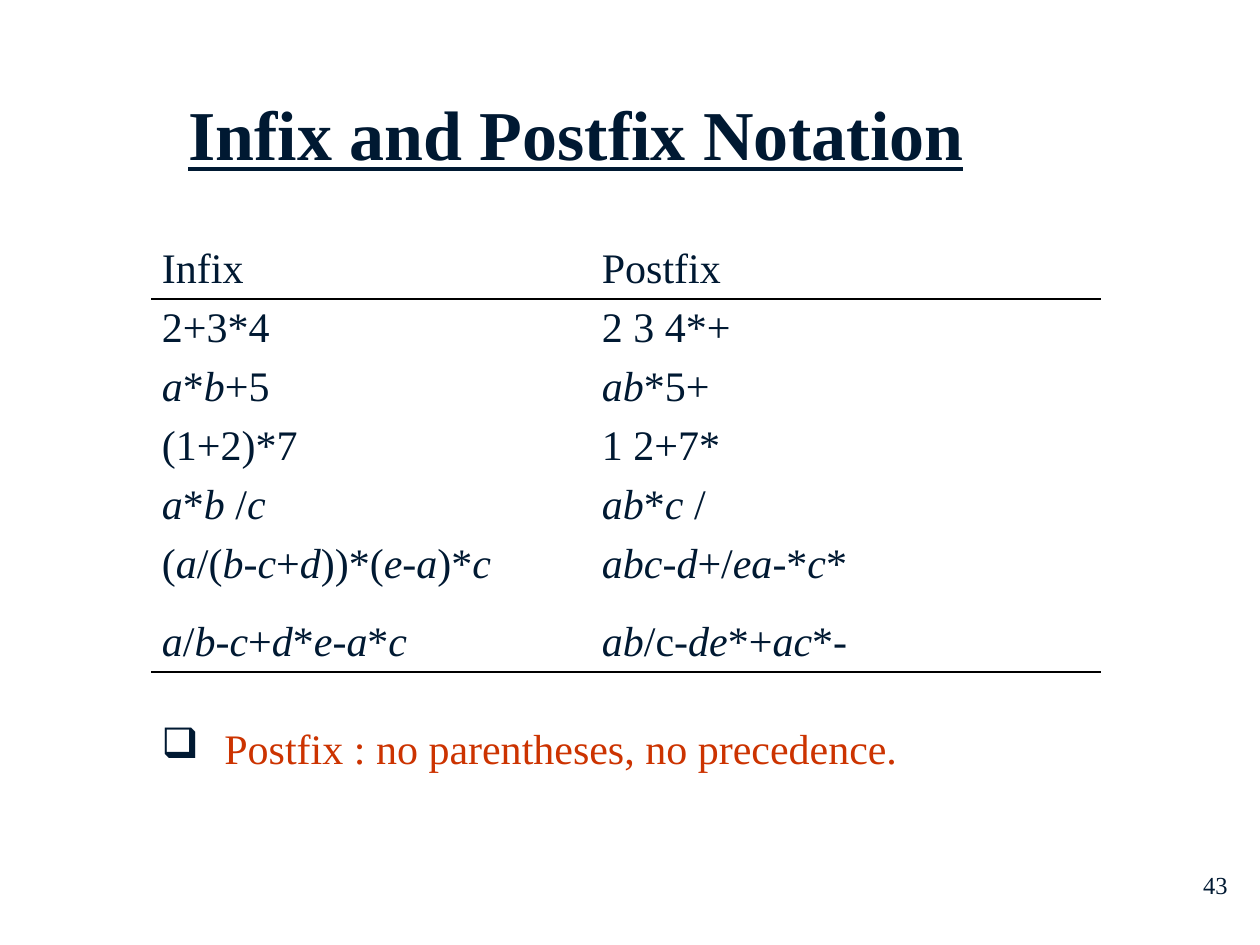
from lxml.etree import SubElement
from pptx import Presentation
from pptx.dml.color import RGBColor
from pptx.enum.text import PP_ALIGN
from pptx.oxml.ns import qn
from pptx.util import Pt

PX = 914400 // 126
FONT = "Times New Roman"
NAVY = RGBColor(0x00, 0x19, 0x32)
RED = RGBColor(0xCC, 0x33, 0x00)
BLACK = RGBColor(0x00, 0x00, 0x00)

# Underscores enclose italic passages
EXPRESSIONS = [
    ("Infix", "Postfix"),
    ("2+3*4", "2 3 4*+"),
    ("_a_*_b_+5", "_ab_*5+"),
    ("(1+2)*7", "1 2+7*"),
    ("_a_*_b _/_c_", "_ab_*_c _/"),
    ("(_a_/(_b_-_c_+_d_))*(_e_-_a_)*_c_", "_abc_-_d_+/_ea_-*_c_*"),
    ("_a_/_b_-_c_+_d_*_e_-_a_*_c_", "_ab_/c-_de_*+_ac_*-"),
]
COLUMN_WIDTHS = [440, 508]
ROW_HEIGHTS = [59] * 5 + [78] + [59] * 2
RULED_ROWS = (0, 6)  # rows with a line below them


def write(frame, text, size=24, color=NAVY, bold=False, underline=False,
          align=PP_ALIGN.LEFT, line_spacing=None, bullet=None, indent=63):
    paragraph = frame.paragraphs[0]
    paragraph.alignment = align
    if line_spacing:
        paragraph.line_spacing = line_spacing
    if bullet:
        add_bullet(paragraph, bullet, indent)
    for position, passage in enumerate(text.split("_")):
        if not passage:
            continue
        run = paragraph.add_run()
        run.text = passage
        font = run.font
        font.name, font.size, font.color.rgb = FONT, Pt(size), color
        font.bold, font.underline = bold, underline
        font.italic = position % 2 == 1


def add_bullet(paragraph, symbol, indent):
    properties = paragraph._p.get_or_add_pPr()
    properties.set("marL", str(indent * PX))
    properties.set("indent", str(-indent * PX))
    bullet_color = SubElement(properties, qn("a:buClr"))
    SubElement(bullet_color, qn("a:srgbClr"), val=str(NAVY))
    SubElement(properties, qn("a:buChar"), char=symbol)


def add_text(slide, left, top, width, height, text, wrap=True, inset_top=6,
             **text_format):
    box = slide.shapes.add_textbox(left * PX, top * PX, width * PX, height * PX)
    frame = box.text_frame
    frame.word_wrap = wrap
    frame.margin_top = inset_top * PX
    write(frame, text, **text_format)


def add_rule(cell, side):
    line = SubElement(cell._tc.get_or_add_tcPr(), qn(f"a:{side}"), w=str(Pt(1)))
    fill = SubElement(line, qn("a:solidFill"))
    SubElement(fill, qn("a:srgbClr"), val=str(BLACK))


def add_expression_table(slide, left, top):
    table = slide.shapes.add_table(
        len(ROW_HEIGHTS), len(COLUMN_WIDTHS), left * PX, top * PX,
        sum(COLUMN_WIDTHS) * PX, sum(ROW_HEIGHTS) * PX).table
    table.first_row = table.horz_banding = False
    for column, width in zip(table.columns, COLUMN_WIDTHS):
        column.width = width * PX
    for row, height in zip(table.rows, ROW_HEIGHTS):
        row.height = height * PX

    # Lines are shared by the cells above and below them
    for row_index, row in enumerate(table.rows):
        for cell in row.cells:
            if row_index - 1 in RULED_ROWS:
                add_rule(cell, "lnT")
            if row_index in RULED_ROWS:
                add_rule(cell, "lnB")
            cell.fill.background()

    # Expressions, each one line down in its cell
    for row_index, expressions in enumerate(EXPRESSIONS):
        for column_index, expression in enumerate(expressions):
            cell = table.cell(row_index, column_index)
            cell.margin_left = cell.margin_right = 10 * PX
            cell.margin_top, cell.margin_bottom = Pt(15), 0
            write(cell.text_frame, expression, line_spacing=Pt(15))


def main():
    presentation = Presentation()
    presentation.slide_width, presentation.slide_height = 1260 * PX, 945 * PX
    slide = presentation.slides.add_slide(presentation.slide_layouts[6])

    # Page number
    add_text(slide, 978, 861, 262, 63, "43", size=14, align=PP_ALIGN.RIGHT,
             inset_top=9)
    # Title
    add_text(slide, 171, 76, 810, 97, "Infix and Postfix Notation", size=40,
             bold=True, underline=True, align=PP_ALIGN.CENTER, wrap=False,
             inset_top=15)
    # Notation examples
    add_expression_table(slide, 152, 240)
    # Conclusion
    add_text(slide, 149, 717, 1012, 64,
             "Postfix : no parentheses, no precedence.", color=RED, bullet="❑")

    presentation.save("out.pptx")


if __name__ == "__main__":
    main()
